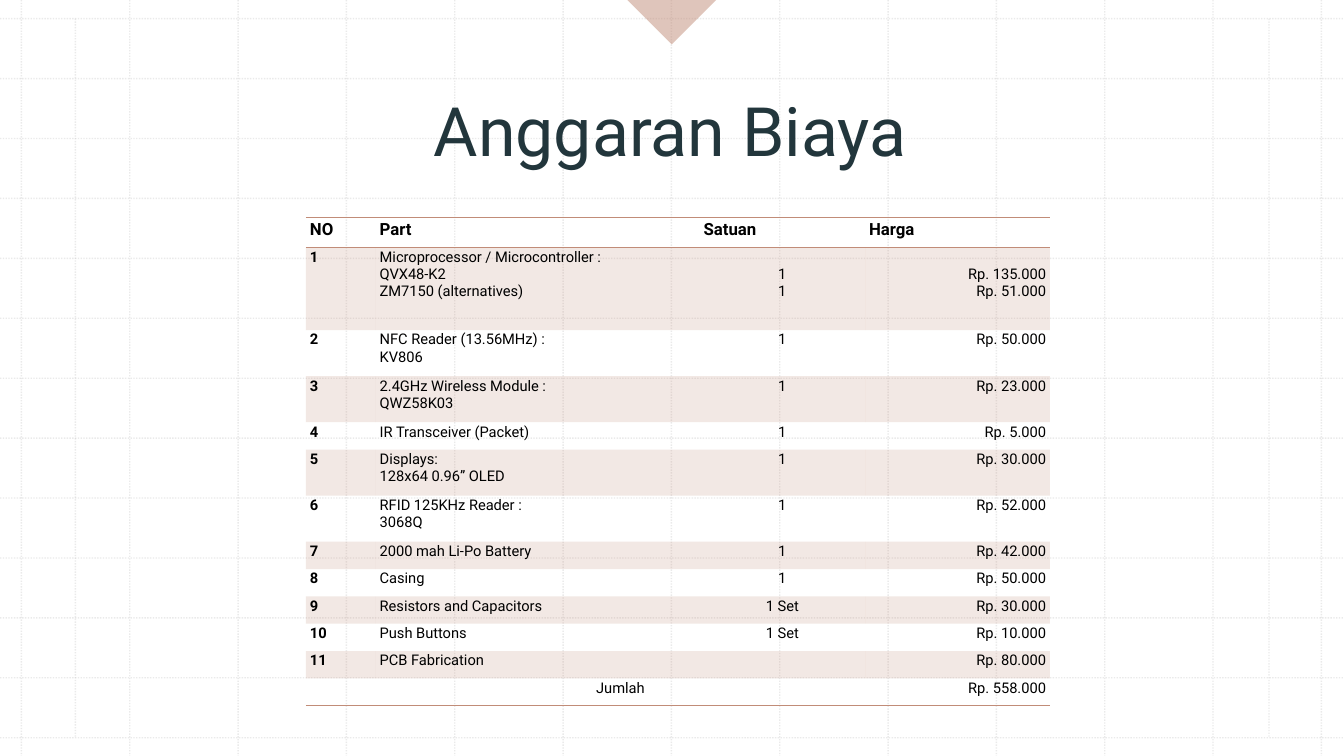
from lxml.etree import SubElement
from pptx import Presentation
from pptx.dml.color import RGBColor
from pptx.enum.dml import MSO_LINE
from pptx.enum.shapes import MSO_CONNECTOR, MSO_SHAPE
from pptx.enum.text import MSO_ANCHOR, PP_ALIGN
from pptx.oxml.ns import qn
from pptx.util import Cm, Pt

WIDTH, HEIGHT = 33.87, 19.05
TERRACOTTA = "C18C78"
LEFT, CENTER, RIGHT = PP_ALIGN.LEFT, PP_ALIGN.CENTER, PP_ALIGN.RIGHT


def paint(fill, color, owner=None, opacity=100):
    """Fill with a solid colour; owner is the XML element that takes the opacity."""
    fill.solid()
    fill.fore_color.rgb = RGBColor.from_string(color)
    if opacity < 100:
        SubElement(owner.find(".//" + qn("a:srgbClr")), qn("a:alpha"), val=str(opacity * 1000))


def write(text_frame, text, size=10.5, color="000000", bold=False, align=LEFT):
    text_frame.text = text
    for paragraph in text_frame.paragraphs:
        paragraph.alignment = align
        for run in paragraph.runs:
            run.font.name = "Roboto"
            run.font.size = Pt(size)
            run.font.bold = bold
            paint(run.font.fill, color)
        if not paragraph.runs:
            # Keeps an empty cell from stretching its row
            SubElement(paragraph._p, qn("a:endParaRPr"), sz=str(int(size * 100)))


presentation = Presentation()
presentation.slide_width = Cm(WIDTH)
presentation.slide_height = Cm(HEIGHT)
slide = presentation.slides.add_slide(presentation.slide_layouts[6])

# Dotted background grid
GRID_LEFT, GRID_TOP = 0.54, 0.47
COLUMN_STEP, ROW_STEP, STEPS = 2.73, 1.51, 12
grid_bottom = GRID_TOP + STEPS * ROW_STEP
grid_lines = []
for step in range(STEPS + 1):
    x = GRID_LEFT + step * COLUMN_STEP
    y = GRID_TOP + step * ROW_STEP
    grid_lines += [(x, 0, x, HEIGHT), (0, y, WIDTH, y)]
for x in (1.9, 31.98):
    grid_lines.append((x, GRID_TOP, x, grid_bottom))

for ends in grid_lines:
    connector = slide.shapes.add_connector(MSO_CONNECTOR.STRAIGHT, *map(Cm, ends))
    connector.line.width = Pt(1)
    paint(connector.line.fill, "BCBCBC", connector.element, 30)
    connector.line.dash_style = MSO_LINE.ROUND_DOT
    SubElement(connector.element.spPr, qn("a:effectLst"))

# Triangle at the top edge
triangle = slide.shapes.add_shape(
    MSO_SHAPE.RIGHT_TRIANGLE, Cm(16.14), Cm(-0.79), Cm(1.58), Cm(1.58))
triangle.rotation = 315
triangle.shadow.inherit = False
triangle.line.fill.background()
paint(triangle.fill, TERRACOTTA, triangle.element.spPr, 50)

# Title
title = slide.shapes.add_textbox(Cm(3.25), Cm(2.01), Cm(27.28), Cm(2.41))
title.text_frame.word_wrap = True
title.text_frame.vertical_anchor = MSO_ANCHOR.BOTTOM
title.text_frame.margin_bottom = Cm(0.12)
write(title.text_frame, "Anggaran Biaya", size=48.6, color="22363C", align=CENTER)

# Budget table, with invented part names
budget = [
    ("NO", "Part", "Satuan", "Harga"),
    ("1", "Microprocessor / Microcontroller :\nQVX48-K2\nZM7150 (alternatives)",
     "1\n1", "Rp. 135.000\nRp. 51.000"),
    ("2", "NFC Reader (13.56MHz) :\nKV806", "1", "Rp. 50.000"),
    ("3", "2.4GHz Wireless Module :\nQWZ58K03", "1", "Rp. 23.000"),
    ("4", "IR Transceiver (Packet)", "1", "Rp. 5.000"),
    ("5", "Displays:\n128x64 0.96” OLED", "1", "Rp. 30.000"),
    ("6", "RFID 125KHz Reader :\n3068Q", "1", "Rp. 52.000"),
    ("7", "2000 mah Li-Po Battery", "1", "Rp. 42.000"),
    ("8", "Casing", "1", "Rp. 50.000"),
    ("9", "Resistors and Capacitors", "1 Set", "Rp. 30.000"),
    ("10", "Push Buttons", "1 Set", "Rp. 10.000"),
    ("11", "PCB Fabrication", "", "Rp. 80.000"),
    ("", "Jumlah", "", "Rp. 558.000"),
]
COLUMN_WIDTHS = (1.76, 8.16, 4.17, 4.66)
HEADER_HEIGHT, FIRST_PART_HEIGHT = 0.76, 2.08
HEIGHT_BY_LINES = {1: 0.69, 2: 1.16}
last = len(budget) - 1

row_heights = [HEADER_HEIGHT, FIRST_PART_HEIGHT]
row_heights += [HEIGHT_BY_LINES[len(row[1].splitlines())] for row in budget[2:]]
frame = slide.shapes.add_table(
    len(budget), len(COLUMN_WIDTHS), Cm(7.71), Cm(5.48),
    Cm(sum(COLUMN_WIDTHS)), Cm(sum(row_heights)))
table = frame.table
NO_STYLE_NO_GRID = "{2D5ABB26-0587-4C30-8999-92F81FD0307C}"
next(frame.element.iter(qn("a:tableStyleId"))).text = NO_STYLE_NO_GRID
table.first_row = table.horz_banding = False
for column, width in zip(table.columns, COLUMN_WIDTHS):
    column.width = Cm(width)
for row, height in zip(table.rows, row_heights):
    row.height = Cm(height)
table.cell(last, 1).merge(table.cell(last, 2))

cell_elements = frame.element.iter(qn("a:tc"))
for row_index, row in enumerate(budget):
    is_header, is_total = row_index == 0, row_index == last
    for column_index, text in enumerate(row):
        cell = table.cell(row_index, column_index)
        element = next(cell_elements)
        cell.margin_left = cell.margin_right = Cm(0.1)
        cell.margin_top, cell.margin_bottom = Cm(0.03), Cm(0.2)
        cell.vertical_anchor = MSO_ANCHOR.BOTTOM if is_header else MSO_ANCHOR.TOP
        if row_index == 1 and column_index >= 2:
            cell.margin_top = Cm(0.46)  # amounts start beside the second line

        if row_index % 2:
            paint(cell.fill, TERRACOTTA, element, 20)
        else:
            cell.fill.background()

        align = (LEFT, LEFT, CENTER, RIGHT)[column_index]
        if is_header:
            align = LEFT
        elif is_total and column_index == 1:
            align = CENTER
        write(cell.text_frame, text, size=12 if is_header else 10.5,
              bold=is_header or column_index == 0, align=align)

        sides = ("a:lnT", "a:lnB") if is_header else ("a:lnB",) if is_total else ()
        properties = element.find(qn("a:tcPr"))
        for position, side in enumerate(sides):
            border = SubElement(properties, qn(side), w=str(Pt(1)))
            SubElement(SubElement(border, qn("a:solidFill")), qn("a:srgbClr"), val=TERRACOTTA)
            properties.insert(position, border)

presentation.save("out.pptx")
